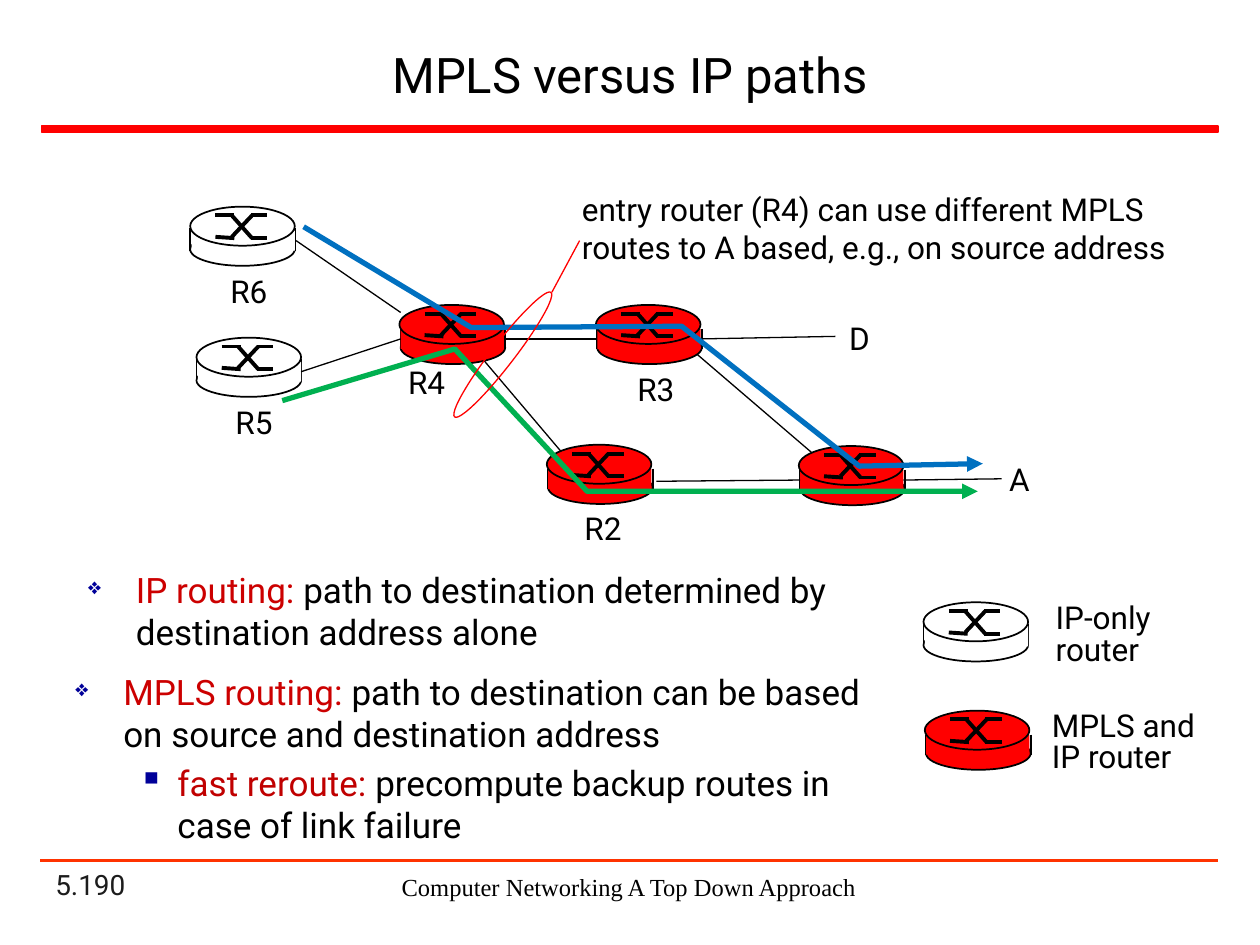
from dataclasses import dataclass
from typing import NamedTuple, Optional

from lxml.etree import SubElement
from pptx import Presentation
from pptx.dml.color import RGBColor
from pptx.enum.shapes import MSO_CONNECTOR, MSO_SHAPE
from pptx.enum.text import MSO_ANCHOR, MSO_AUTO_SIZE, PP_ALIGN
from pptx.oxml.ns import qn
from pptx.util import Inches, Pt


@dataclass(frozen=True)
class Theme:
    font: str = "Roboto"
    footer_font: str = "Times New Roman"
    black: str = "000000"
    white: str = "FFFFFF"
    red: str = "FF0000"
    footer_rule: str = "FF3300"
    number: str = "1C1C1C"
    term: str = "CC0000"
    subterm: str = "C00000"
    bullet: str = "000099"
    blue_route: str = "0070C0"
    green_route: str = "00B050"
    title_size: int = 28
    body_size: int = 20
    label_size: int = 18
    number_size: int = 16
    footer_size: int = 14


T = Theme()


class Bullet(NamedTuple):
    char: str
    margin: float
    hang: float
    level: int = 0
    percent: int = 100


class Para(NamedTuple):
    runs: list
    bullet: Optional[Bullet] = None


class RouterKind(NamedTuple):
    fill: str
    base_x: float
    side_top: float


class Router(NamedTuple):
    kind: RouterKind
    x: float
    y: float


class Link(NamedTuple):
    """Each end is a point, or the name of a router whose side it joins."""
    begin: object
    end: object


class Label(NamedTuple):
    text: str
    box: tuple


class Route(NamedTuple):
    color: str
    points: list


MPLS = RouterKind(T.red, 0.01, 0.19)
IP_ONLY = RouterKind(T.white, 0, 0.17)
ROUTERS = {
    "A": Router(MPLS, 6.34, 3.54), "R2": Router(MPLS, 4.34, 3.53),
    "R3": Router(MPLS, 4.73, 2.42), "R4": Router(MPLS, 3.17, 2.42),
    "R6": Router(IP_ONLY, 1.51, 1.64), "R5": Router(IP_ONLY, 1.56, 2.68),
    "IP key": Router(IP_ONLY, 7.33, 4.78), "MPLS key": Router(MPLS, 7.34, 5.64),
}
# The crossed arrows on a router's lid, relative to the lid's corner
CROSSING = [
    (0.2, 0.07, 0.35, 0.07), (0.48, 0.25, 0.61, 0.25), (0.33, 0.07, 0.49, 0.25),
    (0.2, 0.24, 0.35, 0.25), (0.48, 0.07, 0.61, 0.07), (0.33, 0.24, 0.49, 0.07),
]
LINKS = [
    Link((2.35, 1.91), (3.18, 2.48)), Link("R5", "R4"), Link("R4", "R3"),
    Link((3.84, 2.86), (4.45, 3.58)), Link((5.21, 3.82), "A"),
    Link((5.53, 2.81), (6.44, 3.59)), Link("A", (7.95, 3.8)), Link("R3", (6.63, 2.67)),
]
LABELS = [
    Label("R2", (4.54, 3.99, 0.5, 0.4)), Label("D", (6.64, 2.48, 0.38, 0.4)),
    Label("R3", (4.96, 2.89, 0.5, 0.4)), Label("R4", (3.14, 2.83, 0.5, 0.4)),
    Label("R5", (1.77, 3.15, 0.5, 0.4)), Label("A", (7.91, 3.6, 0.35, 0.4)),
    Label("R6", (1.73, 2.11, 0.5, 0.4)),
    Label("IP-only\nrouter", (8.28, 4.75, 0.99, 0.61)),
    Label("MPLS and\nIP router", (8.25, 5.6, 1.37, 0.61)),
]
ROUTES = [
    Route(T.blue_route, [(2.41, 1.8), (3.74, 2.6), (5.41, 2.59), (6.82, 3.7), (7.8, 3.68)]),
    Route(T.green_route, [(2.24, 3.18), (3.61, 2.77), (4.66, 3.9), (7.76, 3.9)]),
]
DIAMOND = Bullet("❖", 0.38, -0.38, percent=65)
SQUARE = Bullet("▪", 0.81, -0.31, level=1)


def rgb(color: str) -> RGBColor:
    return RGBColor.from_string(color)


def add_bullet(p, bullet: Bullet) -> None:
    p.level = bullet.level
    pPr = p._p.get_or_add_pPr()
    pPr.set("marL", str(Inches(bullet.margin)))
    pPr.set("indent", str(Inches(bullet.hang)))
    SubElement(SubElement(pPr, qn("a:buClr")), qn("a:srgbClr"), val=T.bullet)
    SubElement(pPr, qn("a:buSzPct"), val=str(bullet.percent * 1000))
    SubElement(pPr, qn("a:buChar"), char=bullet.char)


def write(tf, text, *, size: int = T.label_size, color: str = T.black, font: str = T.font,
          align=None, anchor=MSO_ANCHOR.TOP, wrap: bool = True, grow: bool = False,
          spacing=None) -> None:
    """Fill a frame from a string, one paragraph a line, or from a list of Para."""
    if isinstance(text, str):
        text = [Para([(line, color)]) for line in text.split("\n")]
    tf.word_wrap = wrap
    tf.vertical_anchor = anchor
    tf.auto_size = MSO_AUTO_SIZE.SHAPE_TO_FIT_TEXT if grow else MSO_AUTO_SIZE.NONE
    for i, para in enumerate(text):
        p = tf.add_paragraph() if i else tf.paragraphs[0]
        p.alignment = align
        p.line_spacing = spacing
        if para.bullet:
            add_bullet(p, para.bullet)
            if i:
                p.space_before = Pt(size * 0.2)
        for words, run_color in para.runs:
            r = p.add_run()
            r.text = words
            r.font.size, r.font.name = Pt(size), font
            r.font.color.rgb = rgb(run_color)


def add_text(shapes, text, box: tuple, **fmt) -> None:
    write(shapes.add_textbox(*map(Inches, box)).text_frame, text, **fmt)


def add_shape(shapes, kind, box: tuple, fill: Optional[str] = None,
              line: Optional[str] = None, width: float = 1):
    sp = shapes.add_shape(kind, *map(Inches, box))
    sp.shadow.inherit = False
    for part, color in ((sp.fill, fill), (sp.line.fill, line)):
        if color:
            part.solid()
            part.fore_color.rgb = rgb(color)
        else:
            part.background()
    if line:
        sp.line.width = Pt(width)
    return sp


def add_line(shapes, begin: tuple, end: tuple, color: str = T.black, width: float = 0.75):
    cxn = shapes.add_connector(MSO_CONNECTOR.STRAIGHT, *map(Inches, begin + end))
    cxn.line.color.rgb = rgb(color)
    cxn.line.width = Pt(width)
    SubElement(cxn._element.spPr, qn("a:effectLst"))
    return cxn


def add_router(shapes, router: Router):
    """Draw a router as a group and return its body, which links can join."""
    (fill, base_x, side_top), x, y = router
    parts = shapes.add_group_shape().shapes
    add_shape(parts, MSO_SHAPE.OVAL, (x + base_x, y + 0.21, 0.83, 0.26), fill, T.black)
    for side in (x + base_x, x + base_x + 0.83):
        add_line(parts, (side, y + side_top), (side, y + 0.35), width=1)
    body = add_shape(parts, MSO_SHAPE.RECTANGLE, (x + 0.01, y + 0.19, 0.82, 0.16), fill)
    add_shape(parts, MSO_SHAPE.OVAL, (x, y, 0.83, 0.31), fill, T.black)
    for x1, y1, x2, y2 in CROSSING:
        add_line(parts, (x + x1, y + y1), (x + x2, y + y2), width=2.25)
    return body


def add_link(shapes, link: Link, bodies: dict) -> None:
    begin, end = (pt if isinstance(pt, tuple) else (0, 0) for pt in link)
    cxn = add_line(shapes, begin, end)
    if link.begin in bodies:
        cxn.begin_connect(bodies[link.begin], 3)
    if link.end in bodies:
        cxn.end_connect(bodies[link.end], 1)


def add_route(shapes, route: Route) -> None:
    points = [(Inches(x), Inches(y)) for x, y in route.points]
    builder = shapes.build_freeform(*points[0])
    builder.add_line_segments(points[1:], close=False)
    sp = builder.convert_to_shape()
    sp.shadow.inherit = False
    sp.fill.background()
    sp.line.color.rgb = rgb(route.color)
    sp.line.width = Pt(3)
    SubElement(sp.line._get_or_add_ln(), qn("a:tailEnd"), type="triangle")


def main() -> None:
    prs = Presentation()
    prs.slide_width, prs.slide_height = Inches(10), Inches(7.5)
    shapes = prs.slides.add_slide(prs.slide_layouts[5]).shapes

    title = shapes.title
    title.left, title.top, title.width, title.height = map(Inches, (0.33, 0.24, 9.34, 0.7))
    write(title.text_frame, "MPLS versus IP paths", size=T.title_size,
          align=PP_ALIGN.CENTER, anchor=MSO_ANCHOR.MIDDLE)
    add_shape(shapes, MSO_SHAPE.RECTANGLE, (0.33, 1, 9.34, 0.05), T.red, T.red)
    add_line(shapes, (0.32, 6.83), (9.67, 6.83), T.footer_rule, 1.5)
    add_text(shapes, "5.190", (0.34, 6.98, 2.08, 0.22), size=T.number_size,
             color=T.number, anchor=MSO_ANCHOR.BOTTOM)
    add_text(shapes, "Computer Networking A Top Down Approach", (2.95, 6.87, 4.08, 0.34),
             size=T.footer_size, font=T.footer_font, align=PP_ALIGN.CENTER)

    bodies = {name: add_router(shapes, router) for name, router in ROUTERS.items()}
    for link in LINKS:
        add_link(shapes, link, bodies)
    for label in LABELS:
        add_text(shapes, label.text, label.box, wrap=False, grow=True,
                 spacing=Pt(18) if "\n" in label.text else None)
    for route in ROUTES:
        add_route(shapes, route)

    add_text(shapes, [
        Para([("IP routing: ", T.term),
              ("path to destination determined by destination address alone", T.black)], DIAMOND),
    ], (0.6, 4.46, 6.49, 0.78), size=T.body_size)
    add_text(shapes, [
        Para([("MPLS routing: ", T.term),
              ("path to destination can be based on source and destination address", T.black)],
             DIAMOND),
        Para([("fast reroute: ", T.subterm),
              ("precompute backup routes in case of link failure", T.black)], SQUARE),
    ], (0.5, 5.27, 6.78, 1.51), size=T.body_size)

    ring = add_shape(shapes, MSO_SHAPE.OVAL, (3.9, 2.19, 0.18, 1.25), line=T.red, width=0.75)
    ring.rotation = 37.7
    add_line(shapes, (4.38, 2.32), (4.6, 1.91), T.red)
    add_text(shapes, "entry router (R4) can use different MPLS routes to A based, "
             "e.g., on source address", (4.52, 1.46, 5.19, 0.71), grow=True)
    prs.save("out.pptx")


if __name__ == "__main__":
    main()
